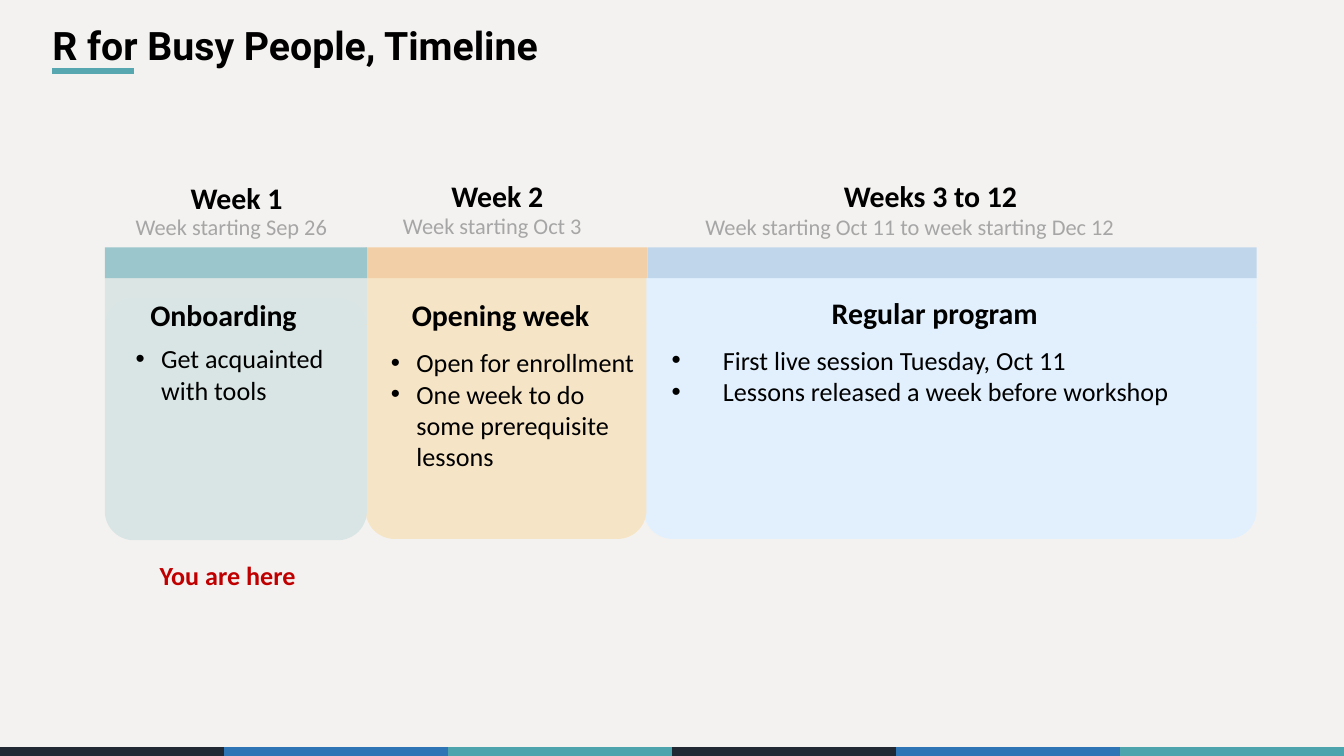
from dataclasses import dataclass

from lxml import etree
from pptx import Presentation
from pptx.dml.color import RGBColor
from pptx.enum.shapes import MSO_CONNECTOR, MSO_SHAPE
from pptx.enum.text import MSO_ANCHOR, PP_ALIGN
from pptx.oxml.ns import qn
from pptx.util import Inches, Pt

LINE = MSO_CONNECTOR.STRAIGHT
RECT = MSO_SHAPE.RECTANGLE
ROUND = MSO_SHAPE.ROUNDED_RECTANGLE
TOP = MSO_ANCHOR.TOP
LEFT = PP_ALIGN.LEFT
CENTER = PP_ALIGN.CENTER


@dataclass(frozen=True)
class Theme:
    page: str = "F4F2F0"
    ink: str = "000000"
    muted: str = "A6A6A6"
    alert: str = "C00000"
    accent: str = "57A7B1"
    strip: tuple[str, ...] = ("202934", "2E75B5", "4EA4AD")
    font: str = "Calibri"
    title_font: str = "Roboto"
    title: float = 21
    head: float = 16
    body: float = 14
    small: float = 12


@dataclass(frozen=True)
class Box:
    left: float
    top: float
    width: float
    height: float

    def place(self) -> tuple:
        return tuple(Inches(v) for v in (self.left, self.top, self.width, self.height))


@dataclass(frozen=True)
class Label:
    text: str
    box: Box
    wrap: bool = True
    align: PP_ALIGN = LEFT


@dataclass(frozen=True)
class Phase:
    card: Box
    fill: str
    top_fill: str
    band: Box
    band_fill: str
    alpha: int
    week: Label
    date: Label
    name: Label
    tasks: Label
    indent: float


THEME = Theme()

PHASES = [
    Phase(
        Box(0.78, 2.22, 1.95, 1.8), "D9E5E4", "DAE5E4",
        Box(0.78, 1.84, 1.95, 0.23), "9BC6CB", 100,
        Label("Week 1", Box(1.32, 1.29, 0.9, 0.37), False),
        Label("Week starting Sep 26", Box(0.91, 1.54, 1.69, 0.3)),
        Label("Onboarding", Box(1.02, 2.16, 1.31, 0.37), False),
        Label("Get acquainted with tools", Box(0.91, 2.5, 1.72, 0.57)),
        0.19,
    ),
    Phase(
        Box(2.72, 2.22, 2.09, 1.79), "F6E4C6", "F6E4C6",
        Box(2.72, 1.84, 2.1, 0.23), "F2A44B", 44,
        Label("Week 2", Box(3.26, 1.27, 0.9, 0.37), False),
        Label("Week starting Oct 3", Box(2.9, 1.53, 1.57, 0.3)),
        Label("Opening week", Box(2.81, 2.16, 1.83, 0.37), True, CENTER),
        Label(
            "Open for enrollment\nOne week to do some prerequisite lessons",
            Box(2.81, 2.53, 2.02, 1.04),
        ),
        0.19,
    ),
    Phase(
        Box(4.79, 2.22, 4.56, 1.79), "E2F0FD", "E2F0FD",
        Box(4.82, 1.84, 4.53, 0.23), "9DC3E6", 59,
        Label("Weeks 3 to 12", Box(6.18, 1.27, 1.52, 0.37), False),
        Label("Week starting Oct 11 to week starting Dec 12", Box(5.15, 1.54, 4.2, 0.3)),
        Label("Regular program", Box(6.09, 2.14, 2.09, 0.37)),
        Label(
            "First live session Tuesday, Oct 11\nLessons released a week before workshop",
            Box(4.9, 2.51, 4.36, 0.57),
        ),
        0.38,
    ),
]


def rgb(color: str) -> RGBColor:
    return RGBColor.from_string(color)


def draw_line(slide, start: float, end: float, top: float, color: str, width: float) -> None:
    line = slide.shapes.add_connector(
        LINE, Inches(start), Inches(top), Inches(end), Inches(top)
    )
    line.line.color.rgb = rgb(color)
    line.line.width = Pt(width)
    etree.SubElement(line._element.spPr, qn("a:effectLst"))


def draw_block(slide, kind: MSO_SHAPE, box: Box, color: str, curve: float = 0, alpha: int = 100) -> None:
    block = slide.shapes.add_shape(kind, *box.place())
    block.shadow.inherit = False
    block.fill.solid()
    block.fill.fore_color.rgb = rgb(color)
    block.line.fill.background()
    if kind == ROUND:
        block.adjustments[0] = curve
    if alpha < 100:
        tint = block._element.spPr.find(qn("a:solidFill"))[0]
        etree.SubElement(tint, qn("a:alpha"), val=str(alpha * 1000))


def add_bullet(para, indent: float) -> None:
    props = para._p.get_or_add_pPr()
    props.set("marL", str(Inches(indent)))
    props.set("indent", str(-Inches(indent)))
    etree.SubElement(props, qn("a:buFont"), typeface="Arial")
    etree.SubElement(props, qn("a:buChar"), char="•")


def fill_text(frame, label: Label, size: float, color: str, bold: bool, font: str, indent: float = 0) -> None:
    frame.text = label.text
    frame.word_wrap = label.wrap
    frame.vertical_anchor = TOP
    for para in frame.paragraphs:
        para.alignment = label.align
        if indent:
            add_bullet(para, indent)
        for run in para.runs:
            run.font.name = font
            run.font.size = Pt(size)
            run.font.bold = bold
            run.font.color.rgb = rgb(color)


def draw_label(slide, label: Label, size: float, color: str = THEME.ink, bold: bool = False, indent: float = 0) -> None:
    frame = slide.shapes.add_textbox(*label.box.place()).text_frame
    fill_text(frame, label, size, color, bold, THEME.font, indent)


def draw_title(slide, label: Label) -> None:
    title = slide.shapes.title
    title.left, title.top, title.width, title.height = label.box.place()
    fill_text(title.text_frame, label, THEME.title, THEME.ink, True, THEME.title_font)


def draw_phase(slide, phase: Phase) -> None:
    card = phase.card
    draw_block(slide, ROUND, Box(card.left, 2.07, card.width, 0.34), phase.top_fill)
    draw_block(slide, ROUND, card, phase.fill, 0.12)
    draw_block(slide, RECT, phase.band, phase.band_fill, alpha=phase.alpha)
    draw_label(slide, phase.week, THEME.head, bold=True)
    draw_label(slide, phase.date, THEME.small, THEME.muted)
    draw_label(slide, phase.name, THEME.head, bold=True)
    draw_label(slide, phase.tasks, THEME.body, indent=phase.indent)


def main() -> None:
    deck = Presentation()
    deck.slide_width = Inches(10)
    deck.slide_height = deck.slide_width * 9 // 16
    slide = deck.slides.add_slide(deck.slide_layouts[5])
    slide.background.fill.solid()
    slide.background.fill.fore_color.rgb = rgb(THEME.page)

    colors = THEME.strip * 2
    step = 10 / len(colors)
    for i, color in enumerate(colors):
        draw_line(slide, i * step, (i + 1) * step, 5.6, color, 6)

    draw_title(slide, Label("R for Busy People, Timeline", Box(0.29, 0.11, 4.11, 0.45), False))
    draw_line(slide, 0.39, 1, 0.53, THEME.accent, 3)
    for phase in reversed(PHASES):
        draw_phase(slide, phase)
    here = Label("You are here", Box(1.09, 4.11, 1.24, 0.34), False)
    draw_label(slide, here, THEME.body, THEME.alert, True)
    deck.save("out.pptx")


if __name__ == "__main__":
    main()
